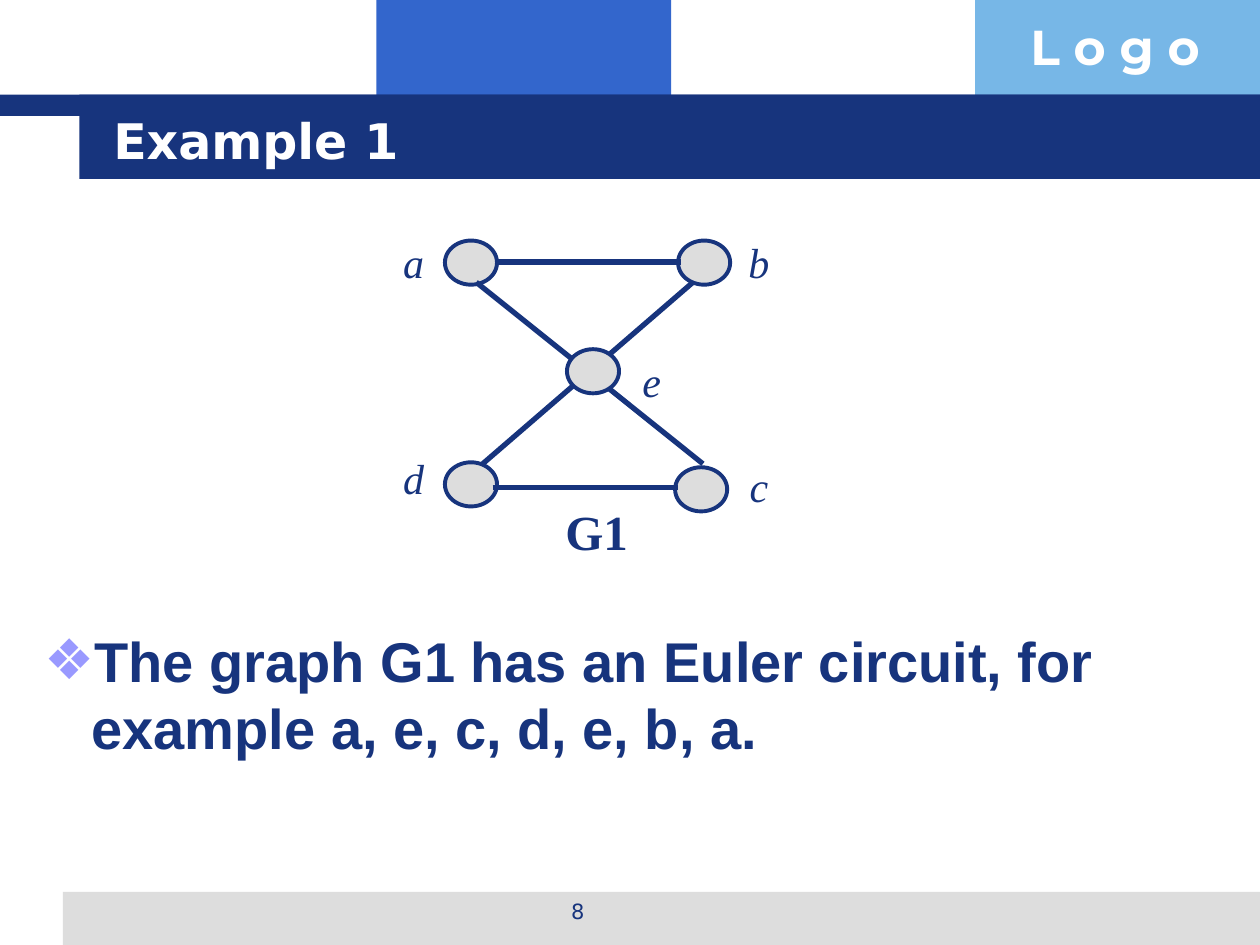
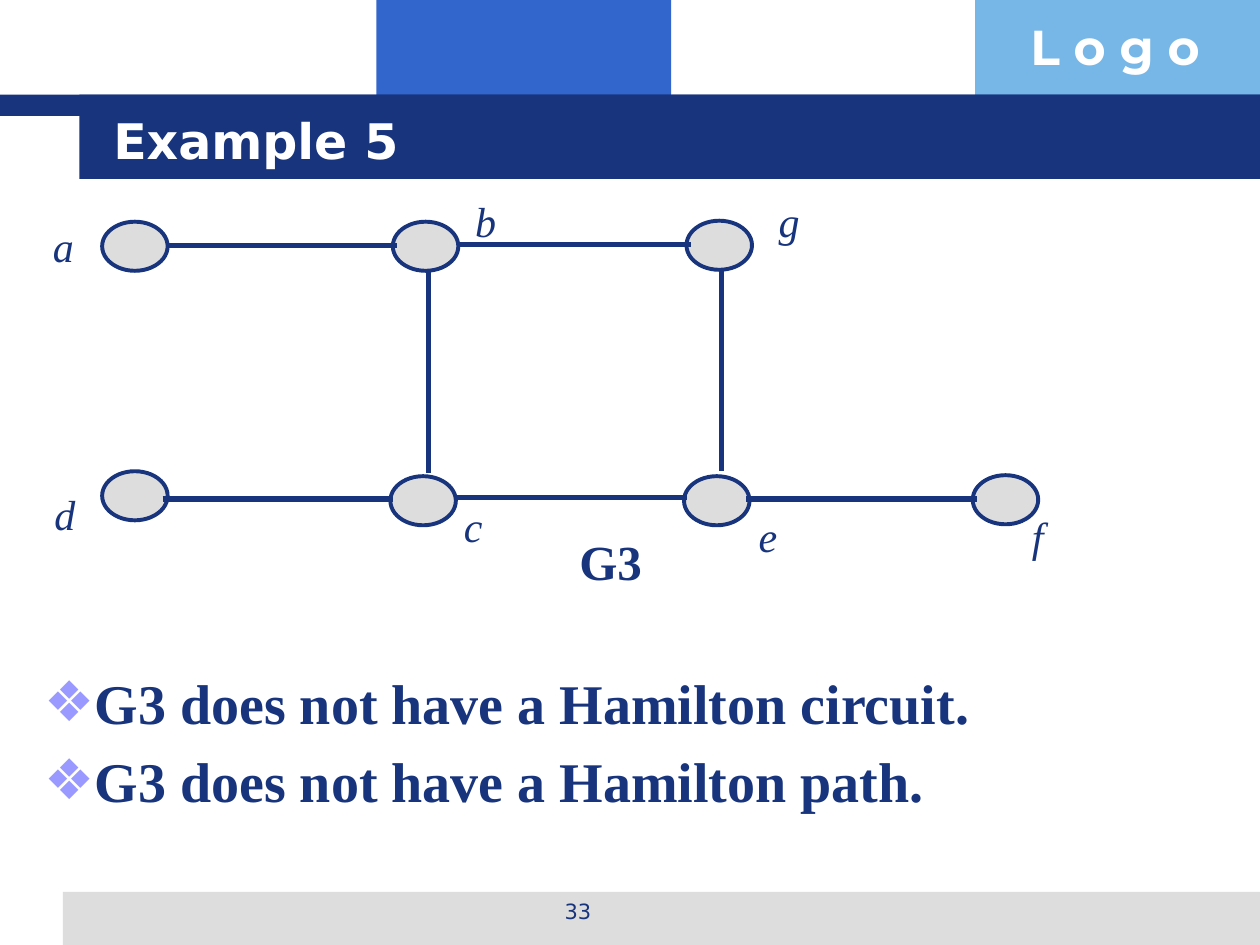
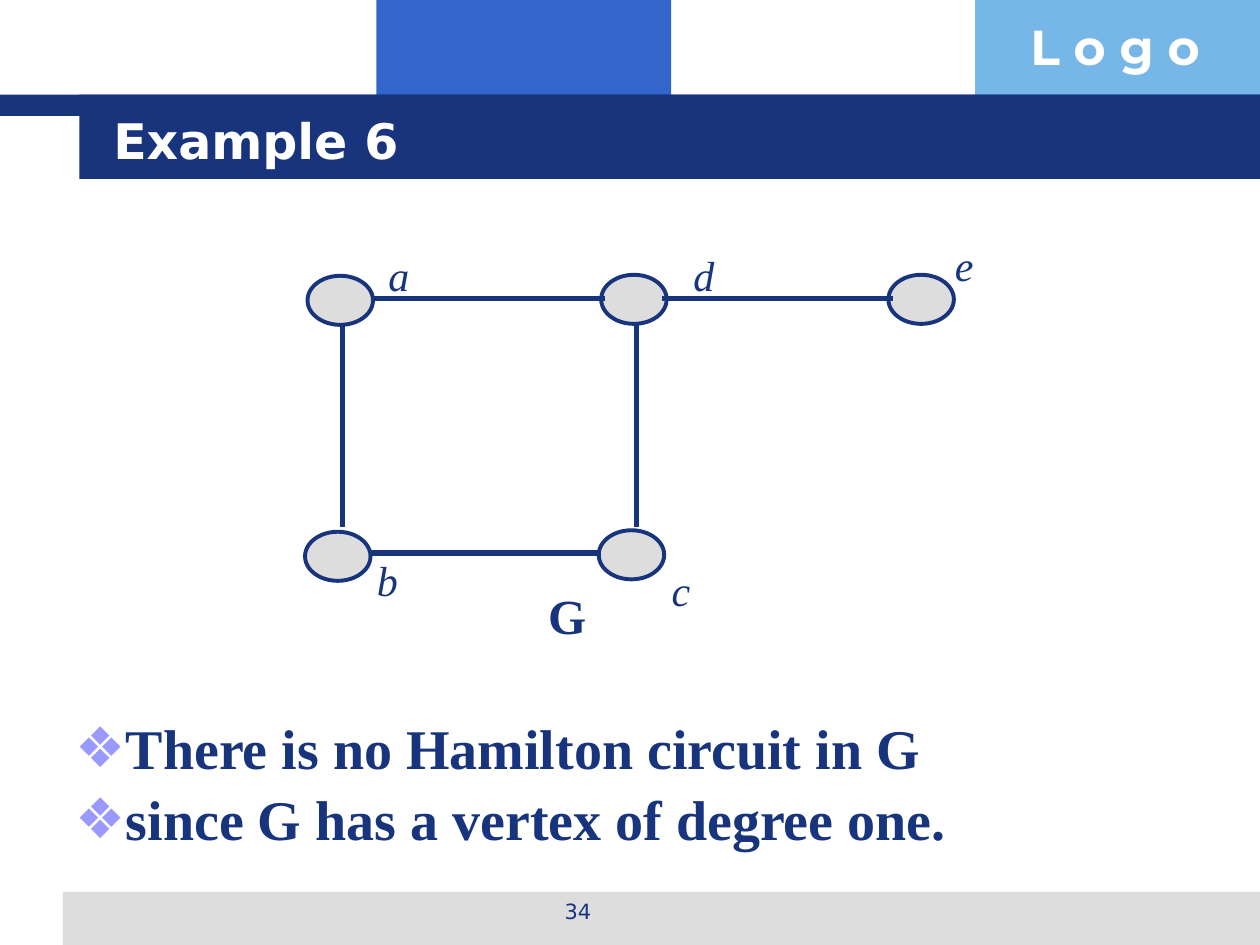
from lxml import etree
from pptx import Presentation
from pptx.dml.color import RGBColor
from pptx.enum.shapes import MSO_CONNECTOR, MSO_SHAPE
from pptx.enum.text import MSO_ANCHOR, MSO_AUTO_SIZE, PP_ALIGN
from pptx.oxml.ns import qn
from pptx.util import Cm, Pt

RECTANGLE, OVAL = MSO_SHAPE.RECTANGLE, MSO_SHAPE.OVAL
STRAIGHT = MSO_CONNECTOR.STRAIGHT
LEFT, CENTER = PP_ALIGN.LEFT, PP_ALIGN.CENTER
TOP, MIDDLE = MSO_ANCHOR.TOP, MSO_ANCHOR.MIDDLE
NO_AUTOFIT = MSO_AUTO_SIZE.NONE

NAVY = RGBColor(0x17, 0x34, 0x7D)
BLUE = RGBColor(0x33, 0x66, 0xCC)
SKY = RGBColor(0x77, 0xB7, 0xE7)
GREY = RGBColor(0xDD, 0xDD, 0xDD)
LILAC = RGBColor(0x99, 0x99, 0xFF)
WHITE = RGBColor(0xFF, 0xFF, 0xFF)

SANS, SERIF, BODY_SANS, LOGO_FONT = "DejaVu Sans", "Times New Roman", "Arial", "Montserrat"

# Bands shared by every slide: left, top, width, height (cm), colour
BANDS = [
    (7.59, 0, 5.94, 2.34, BLUE),
    (19.66, 0, 5.74, 2.34, SKY),
    (1.27, 17.98, 24.13, 1.07, GREY),
    (0, 1.91, 25.4, 0.43, NAVY),
    (1.6, 1.91, 23.8, 1.7, NAVY),
]
FIRST_BAND_ID = 20

# Graphs: vertex name -> (left, top of oval), (centre of its label);
# edges are x1, y1, x2, y2. All in cm.
G1_SIZE = (1.05, 0.89)
G1_CORNERS = {
    "a": ((8.97, 4.85), (8.34, 5.28)),
    "b": ((13.67, 4.85), (15.3, 5.28)),
    "c": ((13.61, 9.42), (15.3, 9.8)),
    "d": ((8.97, 9.32), (8.34, 9.63)),
}
G1_HUB = {"e": ((11.43, 7.04), (13.14, 7.67))}
G1_EDGES = [
    (14.17, 9.35, 9.6, 5.69),
    (9.73, 9.35, 13.97, 5.69),
    (10.01, 5.28, 13.72, 5.28),
    (9.93, 9.83, 13.67, 9.83),
]

LARGE_SIZE = (1.32, 0.99)
G3_VERTICES = {
    "a": ((2.06, 4.47), (1.28, 4.95)),
    "b": ((7.92, 4.47), (9.79, 4.45)),
    "g": ((13.84, 4.45), (15.91, 4.45)),
    "d": ((2.06, 9.5), (1.31, 10.36)),
    "c": ((7.87, 9.6), (9.54, 10.59)),
    "e": ((13.79, 9.6), (15.48, 10.8)),
    "f": ((19.61, 9.58), (20.92, 10.8)),
}
G3_EDGES = [
    (8.64, 5.46, 8.64, 9.53),
    (14.55, 5.46, 14.55, 9.5),
    (3.35, 4.95, 8, 4.95),
    (9.27, 4.93, 13.92, 4.93),
    (3.28, 10.06, 7.92, 10.06),
    (9.19, 10.03, 13.84, 10.03),
    (15.04, 10.06, 19.69, 10.06),
]

G_VERTICES = {
    "a": ((6.2, 5.56), (8.04, 5.54)),
    "d": ((12.12, 5.54), (14.19, 5.54)),
    "e": ((17.91, 5.54), (19.44, 5.33)),
    "b": ((6.15, 10.72), (7.81, 11.68)),
    "c": ((12.07, 10.69), (13.73, 11.89)),
}
G_EDGES = [
    (6.91, 6.58, 6.91, 10.62),
    (12.83, 6.55, 12.83, 10.62),
    (7.54, 6.02, 12.19, 6.02),
    (13.34, 6.02, 18.01, 6.02),
    (7.44, 11.15, 12.12, 11.15),
]


def set_font(paragraph, name, size, color, bold=False, italic=False):
    font = paragraph.font
    font.name, font.size = name, Pt(size)
    font.bold, font.italic = bold, italic
    font.color.rgb = color


def place(shape, left, top, width, height):
    shape.left, shape.top = Cm(left), Cm(top)
    shape.width, shape.height = Cm(width), Cm(height)


def add_text(slide, box, text, font, size, color, align=LEFT, anchor=TOP,
             wrap=True, bold=False, italic=False):
    caption = slide.shapes.add_textbox(*map(Cm, box))
    frame = caption.text_frame
    frame.word_wrap, frame.vertical_anchor = wrap, anchor
    paragraph = frame.paragraphs[0]
    paragraph.text, paragraph.alignment = text, align
    set_font(paragraph, font, size, color, bold, italic)
    return caption


def add_filled(slide, kind, box, color):
    shape = slide.shapes.add_shape(kind, *map(Cm, box))
    shape.shadow.inherit = False
    shape.fill.solid()
    shape.fill.fore_color.rgb = color
    shape.line.fill.background()
    return shape


def add_branding(slide, layout):
    """Draw the bands and logo text, then hand them to the shared layout."""
    branding = [add_filled(slide, RECTANGLE, box, color) for *box, color in BANDS]
    branding.append(add_text(slide, (20.52, 0.2, 4.88, 1.45), "L o g o",
                             LOGO_FONT, 28, WHITE, bold=True))
    for shape_id, shape in enumerate(branding, FIRST_BAND_ID):
        shape.element.nvSpPr.cNvPr.set("id", str(shape_id))
        layout.shapes.element.append(shape.element)


def add_example(deck, layout, title, number):
    slide = deck.slides.add_slide(layout)
    heading = slide.shapes.title
    place(heading, 2.03, 2.03, 21.67, 1.57)
    frame = heading.text_frame
    frame.auto_size, frame.vertical_anchor = NO_AUTOFIT, MIDDLE
    paragraph = frame.paragraphs[0]
    paragraph.text, paragraph.alignment = title, LEFT
    set_font(paragraph, SANS, 28, WHITE, bold=True)
    add_text(slide, (8.69, 17.98, 5.92, 0.89), number, SANS, 12, NAVY, align=CENTER)
    return slide


def add_diamond_bullet(paragraph):
    properties = paragraph._p.get_or_add_pPr()
    properties.set("marL", str(Cm(0.95)))
    properties.set("indent", str(Cm(-0.95)))
    color = etree.SubElement(properties, qn("a:buClr"))
    etree.SubElement(color, qn("a:srgbClr"), val=str(LILAC))
    etree.SubElement(properties, qn("a:buChar"), char="❖")


def fill_conclusions(slide, box, lines, font=SERIF, line_spacing=None):
    conclusions = slide.placeholders[1]
    place(conclusions, *box)
    frame = conclusions.text_frame
    frame.auto_size, frame.vertical_anchor = NO_AUTOFIT, TOP
    frame.text = "\n".join(lines)
    for paragraph in frame.paragraphs:
        add_diamond_bullet(paragraph)
        paragraph.line_spacing = line_spacing
        set_font(paragraph, font, 32, NAVY, bold=True)
    frame.paragraphs[0].space_before = Pt(0)


def add_vertices(slide, vertices, size):
    label_width, label_height = 0.94, 1.27
    for name, (corner, (label_x, label_y)) in vertices.items():
        vertex = add_filled(slide, OVAL, (*corner, *size), GREY)
        vertex.line.color.rgb = NAVY
        vertex.line.width = Pt(2.25)
        label_box = (label_x - label_width / 2, label_y - label_height / 2,
                     label_width, label_height)
        add_text(slide, label_box, name, SERIF, 24, NAVY, CENTER, MIDDLE,
                 wrap=False, italic=True)


def add_edges(slide, edges):
    for ends in edges:
        edge = slide.shapes.add_connector(STRAIGHT, *map(Cm, ends))
        edge.line.color.rgb = NAVY
        edge.line.width = Pt(3)
        etree.SubElement(edge.element.spPr, qn("a:effectLst"))


def add_graph_name(slide, left, top, name):
    add_text(slide, (left, top, 2.11, 1.45), name, SERIF, 28, NAVY, bold=True)


def main():
    deck = Presentation()
    deck.slide_width, deck.slide_height = Cm(25.4), Cm(19.05)
    layout = deck.slide_layouts[1]

    # Euler circuit in G1; the hub covers the crossing edges
    euler = add_example(deck, layout, "Example 1", "8")
    add_branding(euler, layout)
    add_vertices(euler, G1_CORNERS, G1_SIZE)
    add_edges(euler, G1_EDGES)
    add_vertices(euler, G1_HUB, G1_SIZE)
    add_graph_name(euler, 11.15, 9.98, "G1")
    fill_conclusions(euler, (0.64, 12.5, 23.93, 4.88), [
        "The graph G1 has an Euler circuit, for example a, e, c, d, e, b, a.",
    ], font=BODY_SANS)

    # No Hamilton circuit or path in G3
    no_path = add_example(deck, layout, "Example 5", "33")
    add_vertices(no_path, G3_VERTICES, LARGE_SIZE)
    add_edges(no_path, G3_EDGES)
    add_graph_name(no_path, 11.43, 10.59, "G3")
    fill_conclusions(no_path, (0.64, 13.34, 22.86, 3.38), [
        "G3 does not have a Hamilton circuit.",
        "G3 does not have a Hamilton path.",
    ])

    # No Hamilton circuit in G
    no_circuit = add_example(deck, layout, "Example 6", "34")
    add_vertices(no_circuit, G_VERTICES, LARGE_SIZE)
    add_edges(no_circuit, G_EDGES)
    add_graph_name(no_circuit, 10.8, 11.68, "G")
    fill_conclusions(no_circuit, (1.27, 14.4, 22.86, 3.1), [
        "There is no Hamilton circuit in G",
        "since G has a vertex of degree one.",
    ], line_spacing=0.9)

    deck.save("out.pptx")


if __name__ == "__main__":
    main()
